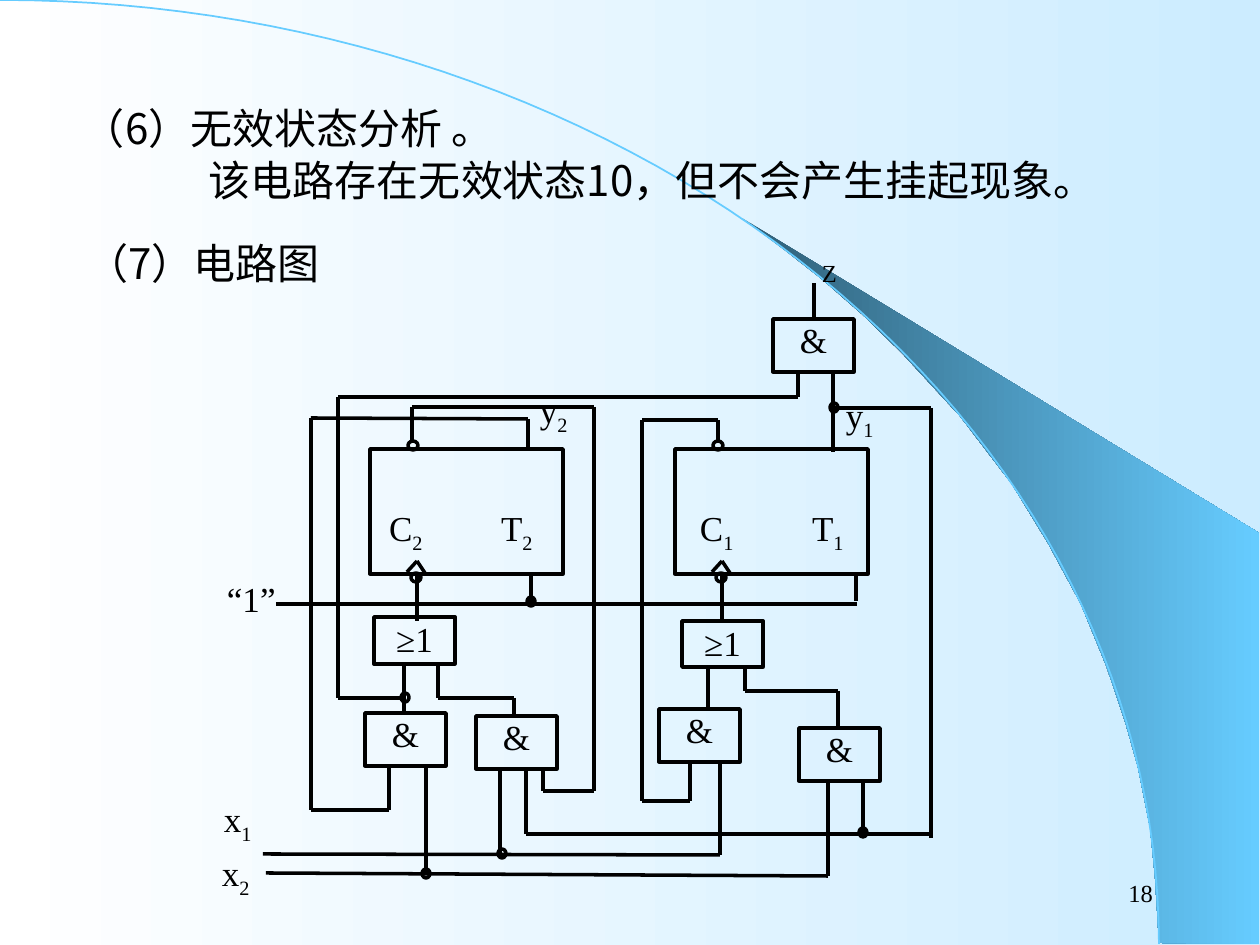
from itertools import pairwise
from math import cos, pi, sin

from lxml.etree import SubElement
from pptx import Presentation
from pptx.dml.color import RGBColor
from pptx.enum.shapes import MSO_CONNECTOR as Conn, MSO_SHAPE as Shape
from pptx.enum.text import MSO_ANCHOR as Anchor, PP_ALIGN as Align
from pptx.oxml.ns import qn
from pptx.util import Emu, Pt

W, H = 1260, 945
SCALE = 9144000 / W
BLACK, SKY = "000000", "66CCFF"
SERIF, SANS = "Times New Roman", "Noto Sans CJK SC"

SWOOSH = [(1159, 943), (1259, 944), (1259, 533), (742, 218), (786, 251), (823, 280),
          (863, 315), (902, 353), (960, 416), (1012, 484), (1048, 543), (1081, 604),
          (1106, 665), (1125, 721), (1138, 767), (1150, 827), (1155, 877)]
GATES = [("&", 773, 319, 53), ("&", 365, 713, 53), ("&", 476, 716, 53),
         ("&", 659, 709, 53), ("&", 799, 728, 53),
         ("≥1", 374, 617, 47), ("≥1", 682, 621, 46)]
WIRES = [
    [(814, 319), (814, 283)],
    [(833, 372), (833, 452)],
    [(798, 372), (798, 397), (338, 397), (338, 698), (402, 698)],
    [(832, 408), (931, 408), (931, 838)],
    [(931, 834), (526, 834), (526, 770)],
    [(528, 451), (528, 419), (311, 418), (311, 810), (389, 810), (389, 767)],
    [(412, 441), (412, 407), (594, 407), (594, 791), (543, 791), (543, 769)],
    [(718, 441), (718, 420), (642, 420), (642, 801), (690, 801), (690, 761)],
    [(417, 575), (417, 621)],
    [(722, 575), (722, 622)],
    [(531, 576), (531, 602)],
    [(856, 576), (856, 601)],
    [(276, 604), (857, 604)],
    [(404, 664), (404, 712)],
    [(438, 664), (438, 698), (514, 698), (514, 716)],
    [(708, 667), (708, 709)],
    [(745, 667), (745, 691), (838, 691), (838, 727)],
    [(263, 854), (720, 855), (720, 761)],
    [(500, 769), (500, 855)],
    [(266, 873), (828, 876), (828, 781)],
    [(426, 766), (426, 874)],
    [(863, 782), (863, 834)],
]
DOTS = [(830, 403), (859, 828), (498, 849), (401, 693), (422, 869), (527, 597)]
LABELS = [("y", "1", 846, 394), ("y", "2", 540, 389), ("x", "1", 224, 798),
          ("x", "2", 222, 852), ("“1”", "", 227, 578)]
FLIP_FLOPS = [("2", 370, 19), ("1", 675, 25)]


def px(n):
    return Emu(round(n * SCALE))


def rgb(color):
    return RGBColor.from_string(color)


def gradient(fill, start, end):
    fill.gradient()
    fill.gradient_angle = 0
    for stop, pos, color in zip(fill.gradient_stops, (0, 1), (start, end)):
        stop.position = pos
        stop.color.rgb = rgb(color)


def style_line(line, color=BLACK, width=2):
    line.color.rgb = rgb(color)
    line.width = Pt(width)


def add_freeform(s, points, closed):
    (x, y), *rest = [(px(a), px(b)) for a, b in points]
    builder = s.shapes.build_freeform(x, y)
    builder.add_line_segments(rest, close=closed)
    sp = builder.convert_to_shape()
    sp.shadow.inherit = False
    return sp


def add_backdrop(s):
    gradient(s.background.fill, "FFFFFF", "CCECFF")
    swoosh = add_freeform(s, SWOOSH, True)
    gradient(swoosh.fill, "2F5E76", SKY)
    swoosh.line.fill.background()
    steps = 60
    angles = [pi / 2 * i / steps for i in range(steps + 1)]
    arc = add_freeform(s, [(1159 * sin(a), 944 * (1 - cos(a))) for a in angles], False)
    arc.fill.background()
    style_line(arc.line, SKY, 1)


def add_outline(s, kind, x, y, w, h):
    sp = s.shapes.add_shape(kind, px(x), px(y), px(w), px(h))
    sp.shadow.inherit = False
    sp.fill.background()
    style_line(sp.line)
    return sp


def set_insets(tf, left=0, top=0):
    tf.margin_left, tf.margin_top = px(left), px(top)
    tf.margin_right = tf.margin_bottom = 0
    tf.vertical_anchor = Anchor.TOP


def set_font(p, size, name=SERIF):
    p.font.size = Pt(size)
    p.font.name = name
    p.font.color.rgb = rgb(BLACK)


def add_symbol(p, base, sub):
    p.add_run().text = base
    if sub:
        r = p.add_run()
        r.text = sub
        r._r.get_or_add_rPr().set("baseline", "-25000")


def add_text(s, x, y, w, h):
    tf = s.shapes.add_textbox(px(x), px(y), px(w), px(h)).text_frame
    tf.word_wrap = True
    set_insets(tf)
    return tf


def add_label(s, base, sub, x, y, size=20):
    p = add_text(s, x, y, 60, 52).paragraphs[0]
    p.alignment = Align.LEFT
    add_symbol(p, base, sub)
    set_font(p, size)


def add_heading(s, x, y, lines):
    tf = add_text(s, x, y, 1040, 53 * len(lines))
    for i, (text, indent) in enumerate(lines):
        p = tf.paragraphs[0] if i == 0 else tf.add_paragraph()
        p._p.get_or_add_pPr().set("marL", str(px(indent)))
        p.line_spacing = Pt(30)
        r = p.add_run()
        r.text = text
        set_font(p, 24, SANS)
        SubElement(r._r.get_or_add_rPr(), qn("a:ea"), typeface=SANS)


def add_gate(s, text, x, y, h):
    tf = add_outline(s, Shape.RECTANGLE, x, y, 81, h).text_frame
    set_insets(tf)
    p = tf.paragraphs[0]
    p.text = text
    p.alignment = Align.CENTER
    set_font(p, 20)


def add_wire(s, points):
    for start, end in pairwise(points):
        line = s.shapes.add_connector(Conn.STRAIGHT, *map(px, start + end))
        style_line(line.line)
        SubElement(line._element.spPr, qn("a:effectLst"))


def add_flip_flop(s, index, x, inset):
    tf = add_outline(s, Shape.RECTANGLE, x, 449, 193, 125).text_frame
    set_insets(tf, inset, 58)
    p = tf.paragraphs[0]
    p.alignment = Align.LEFT
    tabs = SubElement(p._p.get_or_add_pPr(), qn("a:tabLst"))
    SubElement(tabs, qn("a:tab"), pos=str(px(112)), algn="l")
    add_symbol(p, "C", index)
    add_symbol(p, "\tT", index)
    set_font(p, 20)
    add_wire(s, [(x + 37, 572), (x + 47, 561), (x + 55, 573)])
    for dx, y in ((41, 573), (38, 441)):
        add_outline(s, Shape.OVAL, x + dx, y, 10, 9)


def add_page_number(s, text):
    tf = add_text(s, 903, 861, 250, 63)
    tf.vertical_anchor = Anchor.MIDDLE
    p = tf.paragraphs[0]
    p.text = text
    p.alignment = Align.RIGHT
    set_font(p, 14)


def main():
    prs = Presentation()
    prs.slide_width, prs.slide_height = px(W), px(H)
    s = prs.slides.add_slide(prs.slide_layouts[6])
    add_backdrop(s)
    add_page_number(s, "18")
    add_heading(s, 83, 100, [("（6）无效状态分析 。", 0),
                             ("该电路存在无效状态10，但不会产生挂起现象。", 126)])
    add_heading(s, 86, 235, [("（7）电路图", 0)])
    for label in LABELS:
        add_label(s, *label)
    add_label(s, "Z", "", 822, 258, 14)
    for gate in GATES:
        add_gate(s, *gate)
    for wire in WIRES:
        add_wire(s, wire)
    for x, y in DOTS:
        add_outline(s, Shape.OVAL, x, y, 8, 9)
    for flip_flop in FLIP_FLOPS:
        add_flip_flop(s, *flip_flop)
    prs.save("out.pptx")


if __name__ == "__main__":
    main()
